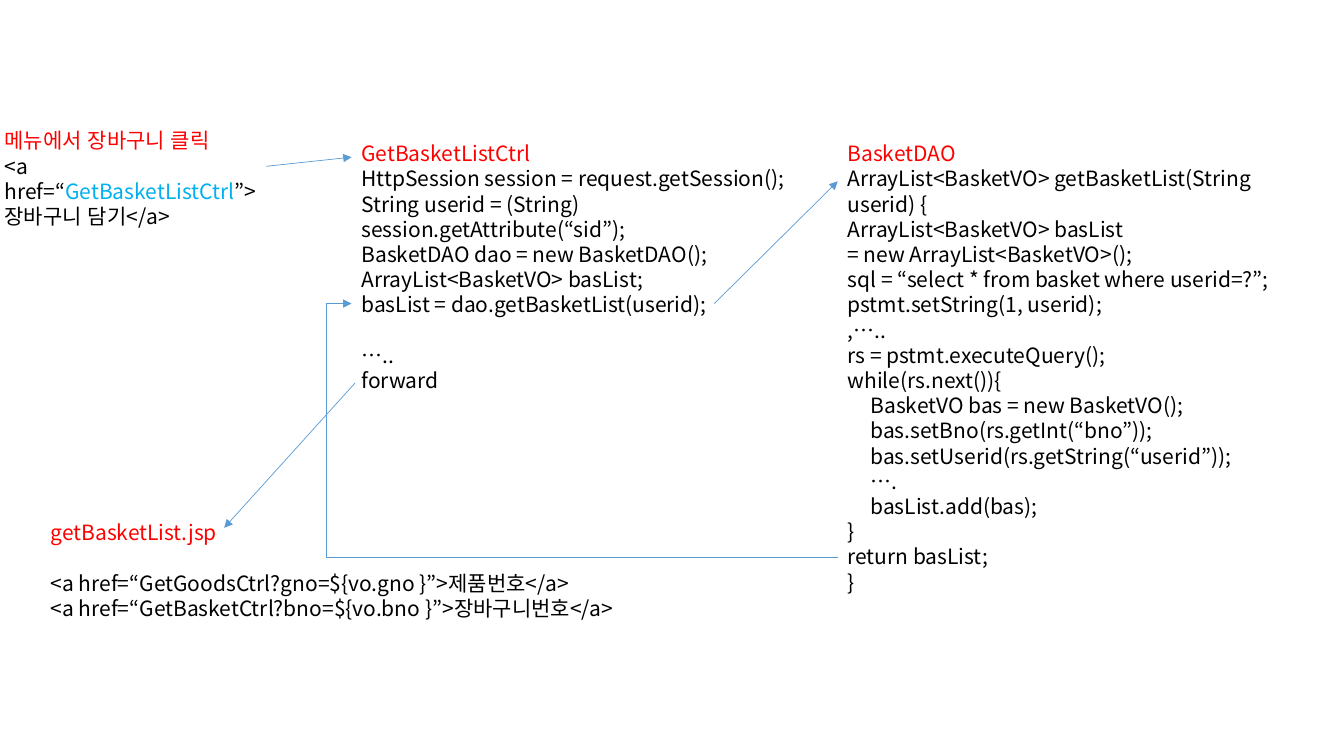
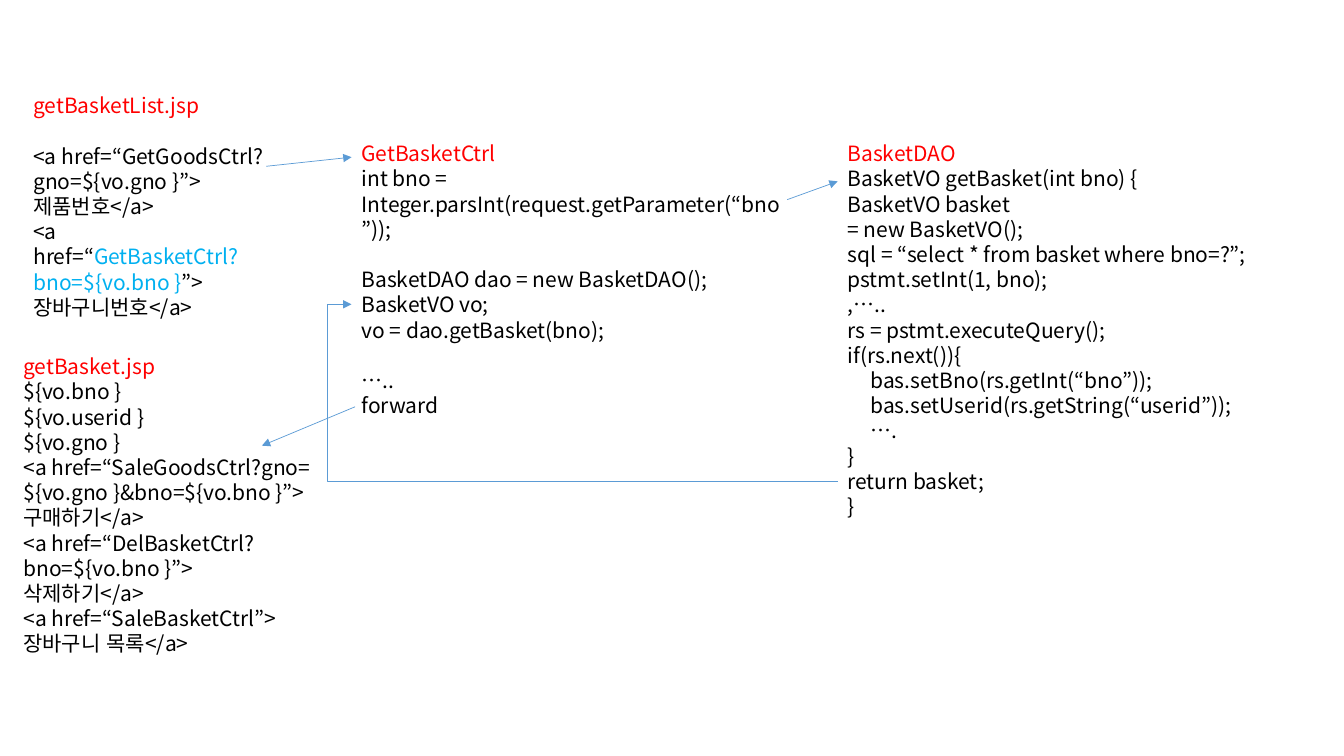
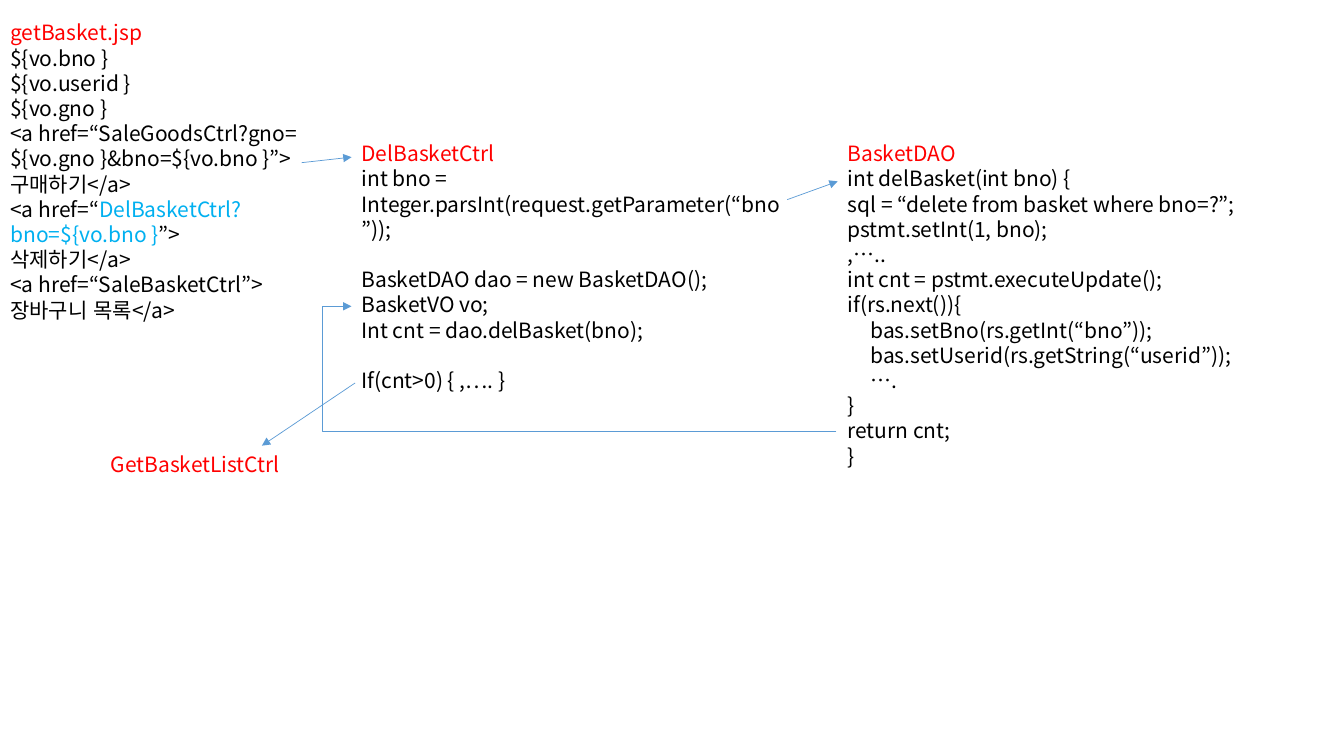
from dataclasses import dataclass, replace

from lxml import etree
from pptx import Presentation, util as u
from pptx.dml.color import RGBColor
from pptx.enum import lang, shapes, text
from pptx.oxml import ns

COLOURS = {"title": "FF0000", "code": "000000", "link": "00B0F0", "arrow": "5B9BD5"}
FONT_NAME = "Noto Sans CJK KR"
FONT_FORMAT = {
    "name": FONT_NAME,
    "size": u.Pt(15),
    "language_id": lang.MSO_LANGUAGE_ID.KOREAN,
}
FRAME_FORMAT = {
    "word_wrap": True,
    "auto_size": text.MSO_AUTO_SIZE.SHAPE_TO_FIT_TEXT,
    "vertical_anchor": text.MSO_ANCHOR.TOP,
}
LINE_HEIGHT = u.Pt(18)
INDENT = u.Cm(0.58)

CONTROLLER_LEFT, DAO_LEFT = 8.86, 21.11
COLUMN_TOP, COLUMN_WIDTH = 3.42, 11.18


@dataclass(frozen=True)
class Line:
    before: str = ""
    link: str = ""
    after: str = ""
    colour: str = "code"
    indented: bool = False
    gap: bool = False


@dataclass(frozen=True)
class Block:
    left: float
    top: float
    width: float
    height: float
    lines: list[Line]


@dataclass(frozen=True)
class Arrow:
    start: tuple[float, float]
    end: tuple[float, float]
    bend_left: float | None = None


@dataclass(frozen=True)
class Flow:
    blocks: list[Block]
    arrows: list[Arrow]


def title(words: str) -> list[Line]:
    return [Line(words, colour="title")]


def code(*words: str, indented: bool = False) -> list[Line]:
    return [Line(item, indented=indented) for item in words]


def after_gap(lines: list[Line]) -> list[Line]:
    return [replace(lines[0], gap=True), *lines[1:]]


def controller(height: float, lines: list[Line]) -> Block:
    return Block(CONTROLLER_LEFT, COLUMN_TOP, COLUMN_WIDTH, height, lines)


def dao(height: float, lines: list[Line]) -> Block:
    return Block(DAO_LEFT, COLUMN_TOP, COLUMN_WIDTH, height, title("BasketDAO") + lines)


def basket_page(left: float, top: float, delete_link: list[Line]) -> Block:
    lines = [
        *title("getBasket.jsp"),
        *code("${vo.bno }", "${vo.userid }", "${vo.gno }"),
        *code("<a href=“SaleGoodsCtrl?gno=", "${vo.gno }&bno=${vo.bno }”>", "구매하기</a>"),
        *delete_link,
        *code("삭제하기</a>", "<a href=“SaleBasketCtrl”>", "장바구니 목록</a>"),
    ]
    return Block(left, top, 7.82, 8.59, lines)


READ_NUMBER = code("int bno = Integer.parsInt(request.getParameter(“bno”));")
OPEN_DAO = after_gap(code("BasketDAO dao = new BasketDAO();", "BasketVO vo;"))
FORWARD = after_gap(code("…..", "forward"))
FILL_BEAN = code(
    "bas.setBno(rs.getInt(“bno”));",
    "bas.setUserid(rs.getString(“userid”));",
    "….",
    indented=True,
)
CLICK = Arrow((6.71, 4.19), (8.86, 3.96))
CALL_DAO = Arrow((19.84, 5.03), (21.11, 4.57))
SHOW_RESULT = Arrow((8.95, 9.65), (6.6, 11.23))

FLOWS = [
    Flow(
        [
            controller(6.68, [
                *title("GetBasketListCtrl"),
                *code(
                    "HttpSession session = request.getSession();",
                    "String userid = (String) session.getAttribute(“sid”);",
                    "BasketDAO dao = new BasketDAO();",
                    "ArrayList<BasketVO> basList;",
                    "basList = dao.getBasketList(userid);",
                ),
                *FORWARD,
            ]),
            dao(11.79, [
                *code(
                    "ArrayList<BasketVO> getBasketList(String userid) {",
                    "ArrayList<BasketVO> basList",
                    "= new ArrayList<BasketVO>();",
                    "sql = “select * from basket where userid=?”;",
                    "pstmt.setString(1, userid);",
                    ",…..",
                    "rs = pstmt.executeQuery();",
                    "while(rs.next()){",
                ),
                *code("BasketVO bas = new BasketVO();", indented=True),
                *FILL_BEAN,
                *code("basList.add(bas);", indented=True),
                *code("}", "return basList;", "}"),
            ]),
            Block(1.03, 12.97, 15.34, 3.45, [
                *title("getBasketList.jsp"),
                *after_gap(code(
                    "<a href=“GetGoodsCtrl?gno=${vo.gno }”>제품번호</a>",
                    "<a href=“GetBasketCtrl?bno=${vo.bno }”>장바구니번호</a>",
                )),
            ]),
            Block(-0.13, 3.1, 7.47, 2.18, [
                *title("메뉴에서 장바구니 클릭"),
                Line("<a href=“", "GetBasketListCtrl", "”>"),
                *code("장바구니 담기</a>"),
            ]),
        ],
        [
            CLICK,
            Arrow((18, 7.65), (21.11, 4.57)),
            Arrow((21.11, 14.05), (8.86, 7.65), 8.22),
            Arrow((8.95, 9.65), (5.65, 13.3)),
        ],
    ),
    Flow(
        [
            controller(6.68, [
                *title("GetBasketCtrl"),
                *READ_NUMBER,
                *OPEN_DAO,
                *code("vo = dao.getBasket(bno);"),
                *FORWARD,
            ]),
            dao(9.88, [
                *code(
                    "BasketVO getBasket(int bno) {",
                    "BasketVO basket",
                    "= new BasketVO();",
                    "sql = “select * from basket where bno=?”;",
                    "pstmt.setInt(1, bno);",
                    ",…..",
                    "rs = pstmt.executeQuery();",
                    "if(rs.next()){",
                ),
                *FILL_BEAN,
                *code("}", "return basket;", "}"),
            ]),
            Block(0.59, 2.21, 6.35, 6.02, [
                *title("getBasketList.jsp"),
                *after_gap(code("<a href=“GetGoodsCtrl?", "gno=${vo.gno }”>", "제품번호</a>")),
                Line("<a href=“", "GetBasketCtrl?"),
                Line("", "bno=${vo.bno }", "”>"),
                *code("장바구니번호</a>"),
            ]),
            basket_page(0.34, 8.79, code("<a href=“DelBasketCtrl?", "bno=${vo.bno }”>")),
        ],
        [
            CLICK,
            CALL_DAO,
            Arrow((21.11, 12.14), (8.86, 7.67), 8.26),
            replace(SHOW_RESULT, start=(8.95, 10.25)),
        ],
    ),
    Flow(
        [
            controller(6.02, [
                *title("DelBasketCtrl"),
                *READ_NUMBER,
                *OPEN_DAO,
                *code("Int cnt = dao.delBasket(bno);"),
                *after_gap(code("If(cnt>0) { ,…. }")),
            ]),
            dao(8.59, [
                *code(
                    "int delBasket(int bno) {",
                    "sql = “delete from basket where bno=?”;",
                    "pstmt.setInt(1, bno);",
                    ",…..",
                    "int cnt = pstmt.executeUpdate();",
                    "if(rs.next()){",
                ),
                *FILL_BEAN,
                *code("}", "return cnt;", "}"),
            ]),
            Block(2.54, 11.25, 5, 0.89, title("GetBasketListCtrl")),
            basket_page(0.01, 0.38, [
                Line("<a href=“", "DelBasketCtrl?"),
                Line("", "bno=${vo.bno }", "”>"),
            ]),
        ],
        [
            replace(CLICK, start=(7.6, 4.1)),
            CALL_DAO,
            Arrow((21.08, 10.87), (8.86, 7.72), 8.13),
            SHOW_RESULT,
        ],
    ),
]


def apply_format(target, values: dict) -> None:
    for name, value in values.items():
        setattr(target, name, value)


def add_run(paragraph, words: str, colour: str) -> None:
    run = paragraph.add_run()
    run.text = words
    apply_format(run.font, FONT_FORMAT)
    run.font.color.rgb = RGBColor.from_string(COLOURS[colour])
    east_asian = etree.SubElement(run.font._element, ns.qn("a:ea"))
    east_asian.set("typeface", FONT_NAME)


def fill_paragraph(paragraph, line: Line) -> None:
    paragraph.line_spacing = LINE_HEIGHT
    if line.gap:
        paragraph.space_before = LINE_HEIGHT
    if line.indented:
        paragraph._p.get_or_add_pPr().set("marL", str(INDENT))
    parts = ((line.before, line.colour), (line.link, "link"), (line.after, line.colour))
    for words, colour in parts:
        if words:
            add_run(paragraph, words, colour)


def draw_block(slide, block: Block) -> None:
    sizes = (block.left, block.top, block.width, block.height)
    frame = slide.shapes.add_textbox(*map(u.Cm, sizes)).text_frame
    apply_format(frame, FRAME_FORMAT)
    for index, line in enumerate(block.lines):
        paragraph = frame.add_paragraph() if index else frame.paragraphs[0]
        fill_paragraph(paragraph, line)


def draw_arrow(slide, arrow: Arrow) -> None:
    bent = arrow.bend_left is not None
    kind = shapes.MSO_CONNECTOR.ELBOW if bent else shapes.MSO_CONNECTOR.STRAIGHT
    connector = slide.shapes.add_connector(kind, *map(u.Cm, arrow.start + arrow.end))
    connector.line.width = u.Pt(0.5)
    connector.line.color.rgb = RGBColor.from_string(COLOURS["arrow"])
    properties = connector._element.spPr
    head = etree.SubElement(properties.find(ns.qn("a:ln")), ns.qn("a:tailEnd"))
    head.set("type", "triangle")
    etree.SubElement(properties, ns.qn("a:effectLst"))
    if bent:
        start, end = arrow.start[0], arrow.end[0]
        ratio = (start - arrow.bend_left) / (start - end)
        geometry = properties.find(ns.qn("a:prstGeom"))
        adjustments = geometry.find(ns.qn("a:avLst"))
        guide = etree.SubElement(adjustments, ns.qn("a:gd"))
        guide.set("name", "adj1")
        guide.set("fmla", f"val {round(ratio * 100000)}")


def main() -> None:
    presentation = Presentation()
    presentation.slide_width = u.Cm(33.87)
    presentation.slide_height = u.Cm(19.05)
    for flow in FLOWS:
        slide = presentation.slides.add_slide(presentation.slide_layouts[6])
        for block in flow.blocks:
            draw_block(slide, block)
        for arrow in flow.arrows:
            draw_arrow(slide, arrow)
    presentation.save("out.pptx")


if __name__ == "__main__":
    main()
